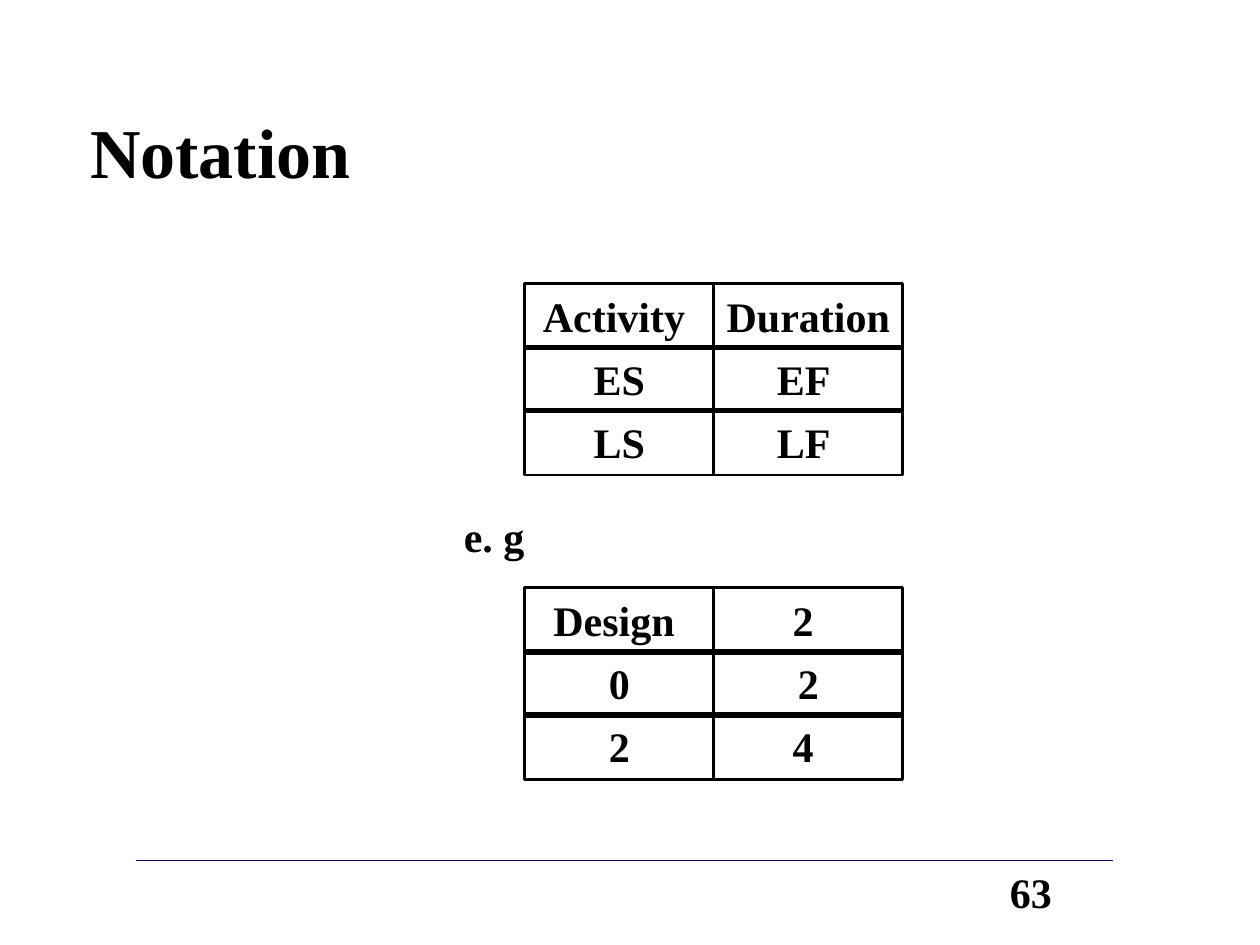
from lxml import etree
from pptx import Presentation
from pptx.dml.color import RGBColor
from pptx.enum.shapes import MSO_CONNECTOR, MSO_SHAPE
from pptx.enum.text import MSO_ANCHOR, MSO_AUTO_SIZE, PP_ALIGN
from pptx.oxml.ns import qn
from pptx.util import Cm, Pt

RECTANGLE = MSO_SHAPE.RECTANGLE
STRAIGHT = MSO_CONNECTOR.STRAIGHT
TOP, BOTTOM = MSO_ANCHOR.TOP, MSO_ANCHOR.BOTTOM
LEFT, CENTER = PP_ALIGN.LEFT, PP_ALIGN.CENTER
GROW, FIXED = MSO_AUTO_SIZE.SHAPE_TO_FIT_TEXT, MSO_AUTO_SIZE.NONE

COLORS = {"ink": "000000", "rule": "000066"}


class NotationSlide:
    font = "Times New Roman"
    body_size = 24
    title_size = 40
    # Cells are slightly taller than the row step, so their borders overlap
    cell_width, cell_height, row_step = 3.81, 1.32, 1.27

    def __init__(self, slide):
        self.slide = slide

    def color(self, name):
        return RGBColor.from_string(COLORS[name])

    def fill_text(self, shape, text, size, align=LEFT, anchor=TOP, fit=GROW):
        frame = shape.text_frame
        frame.word_wrap = True
        frame.auto_size = fit
        frame.vertical_anchor = anchor
        frame.margin_left = frame.margin_right = Cm(0.25)
        frame.margin_top = frame.margin_bottom = Cm(0.13)
        paragraph = frame.paragraphs[0]
        paragraph.alignment = align
        run = paragraph.add_run()
        run.text = text
        run.font.name = self.font
        run.font.size = Pt(size)
        run.font.bold = True
        run.font.color.rgb = self.color("ink")

    def text(self, text, left, top, width, height, size=body_size, **layout):
        box = self.slide.shapes.add_textbox(
            Cm(left), Cm(top), Cm(width), Cm(height))
        self.fill_text(box, text, size, **layout)

    def rule(self, left, right, y):
        line = self.slide.shapes.add_connector(
            STRAIGHT, Cm(left), Cm(y), Cm(right), Cm(y))
        line.line.color.rgb = self.color("rule")
        line.line.width = Pt(0.75)
        etree.SubElement(line._element.spPr, qn("a:effectLst"))

    def activity_box(self, rows, left, top):
        group = self.slide.shapes.add_group_shape()
        for row, labels in enumerate(rows):
            for column, label in enumerate(labels):
                cell = group.shapes.add_shape(
                    RECTANGLE,
                    Cm(left + column * self.cell_width),
                    Cm(top + row * self.row_step),
                    Cm(self.cell_width), Cm(self.cell_height))
                cell.shadow.inherit = False
                cell.fill.background()
                cell.line.color.rgb = self.color("ink")
                cell.line.width = Pt(1.5)
                self.fill_text(cell, label, self.body_size, align=CENTER)


def main():
    deck = Presentation()
    deck.slide_width, deck.slide_height = Cm(25.4), Cm(19.05)
    notation = NotationSlide(deck.slides.add_slide(deck.slide_layouts[6]))

    # Footer rule
    notation.rule(2.74, 22.43, 17.35)

    # Title
    notation.text("Notation", 1.57, 0.84, 21.59, 3.18,
                  size=notation.title_size, anchor=BOTTOM, fit=FIXED)

    # Legend; the trailing spaces shift the centred labels
    legend = [("Activity ", "Duration "), ("ES", "EF "), ("LS", "LF ")]
    notation.activity_box(legend, 10.58, 5.72)

    # Worked example
    example = [("Design ", "2 "), ("0", "2"), ("2", "4 ")]
    notation.activity_box(example, 10.58, 11.85)
    notation.text("e. g", 9.1, 10.16, 1.91, 1.27)

    # Page number
    notation.text("63", 20.11, 17.35, 5.29, 1.27, anchor=BOTTOM, fit=FIXED)

    deck.save("out.pptx")


if __name__ == "__main__":
    main()
